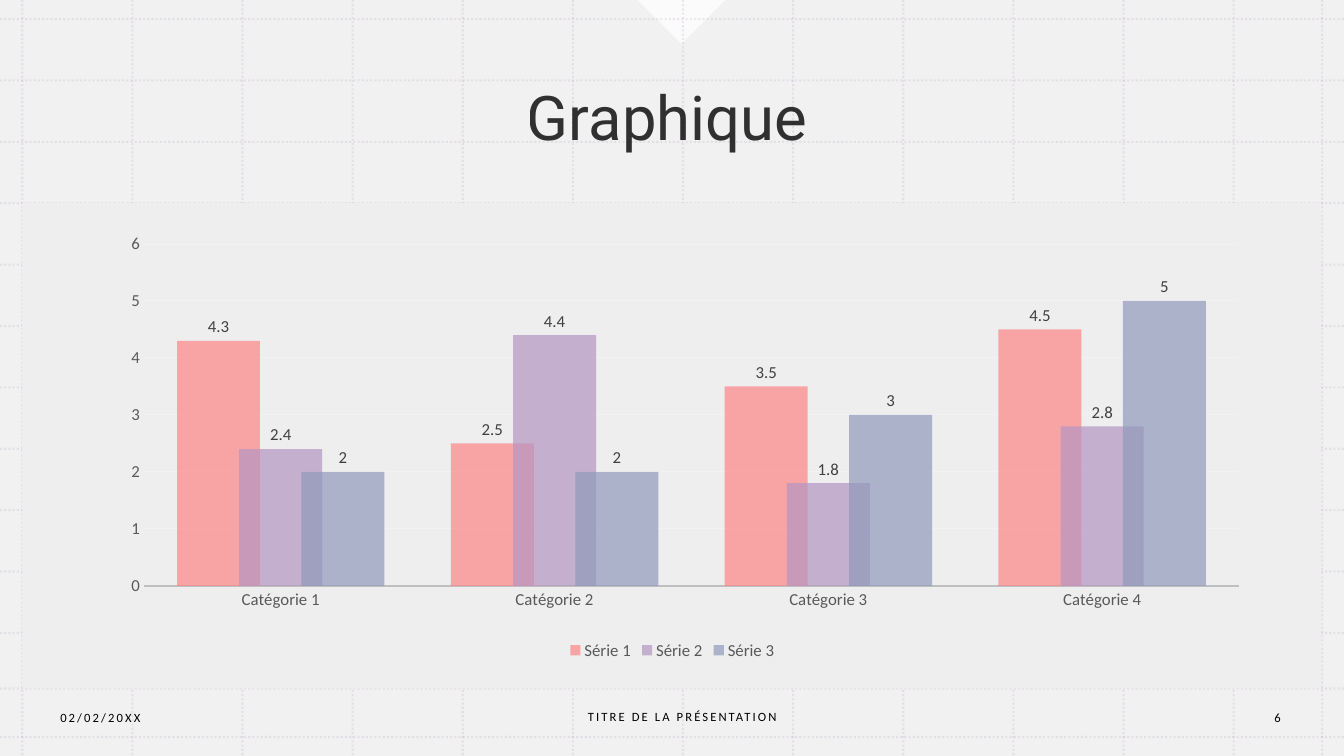
import pptx
import pptx.chart.data
import pptx.dml.color
import pptx.enum.chart
import pptx.enum.dml
import pptx.enum.shapes
import pptx.enum.text
import pptx.oxml
import pptx.oxml.ns
import pptx.util
from pptx.util import Cm

COLORS = {
    "paper": "EEEEEE", "white": "FFFFFF", "black": "000000", "grid": "B495C2",
    "label": "404040", "axis_text": "595959", "axis": "BFBFBF", "gridline": "F2F2F2",
}
SERIES = [
    ("Série 1", (4.3, 2.5, 3.5, 4.5), "FD8686"),
    ("Série 2", (2.4, 4.4, 1.8, 2.8), "B495C2"),
    ("Série 3", (2, 2, 3, 5), "8F99BB"),
]
CATEGORIES = ["Catégorie 1", "Catégorie 2", "Catégorie 3", "Catégorie 4"]
PLOT = {"x": 0.044, "y": 0.024, "w": 0.945, "h": 0.794}


def rgb(color):
    """Turn a hex string into a colour."""
    return pptx.dml.color.RGBColor.from_string(color)


def paint(target, color, alpha=100):
    """Give a fill, or the fill of a line or font, a solid colour and opacity."""
    target.solid()
    target.fore_color.rgb = rgb(color)
    if alpha < 100:
        clr = target._xPr.find(".//" + pptx.oxml.ns.qn("a:srgbClr"))
        child = pptx.oxml.parse_xml(
            f'<a:alpha {pptx.oxml.ns.nsdecls("a")} val="{alpha * 1000}"/>')
        clr.append(child)


def style_font(font, size, color, name="Calibri"):
    """Set the size, colour and typeface of a font."""
    font.size = pptx.util.Pt(size)
    font.name = name
    font.color.rgb = rgb(color)


def spread(first, last, count):
    """Return evenly spaced positions from first to last."""
    return [first + (last - first) * i / (count - 1) for i in range(count)]


def add_block(s, kind, box, color, alpha=100):
    """Add a borderless filled shape."""
    sp = s.shapes.add_shape(kind, *map(Cm, box))
    sp.shadow.inherit = False
    paint(sp.fill, color, alpha)
    sp.line.fill.background()
    return sp


def add_grid_line(s, x1, y1, x2, y2):
    """Add one faint dotted line."""
    line = s.shapes.add_connector(
        pptx.enum.shapes.MSO_CONNECTOR.STRAIGHT, Cm(x1), Cm(y1), Cm(x2), Cm(y2))
    line.line.width = pptx.util.Pt(1.5)
    paint(line.line.fill, COLORS["grid"], 20)
    line.line.dash_style = pptx.enum.dml.MSO_LINE.ROUND_DOT
    line._element.spPr.append(pptx.oxml.parse_xml(
        f'<a:effectLst {pptx.oxml.ns.nsdecls("a")}/>'))


def add_background(s, box):
    """Draw the paper, top notch, dotted grid and chart panel."""
    x, y, w, h = box
    shapes = pptx.enum.shapes.MSO_SHAPE
    add_block(s, shapes.RECTANGLE, box, COLORS["paper"], 80)
    notch = add_block(s, shapes.RIGHT_TRIANGLE,
                      (x + 16.39, y - 0.79, 1.57, 1.57), COLORS["white"], 75)
    notch.rotation = 315
    for gx in spread(0.56, 31.09, 12) + [33.32]:
        add_grid_line(s, x + gx, y, x + gx, y + h)
    for gy in spread(0.48, 15.95, 11) + [17.35, 18.57]:
        add_grid_line(s, x, y + gy, x + w, y + gy)
    add_block(s, shapes.RECTANGLE, (x + 0.56, y + 5.11, 32.74, 12.24), COLORS["paper"])


def add_title(s, box, text):
    """Place the title placeholder above the background."""
    sp = s.shapes.title
    sp.left, sp.top, sp.width, sp.height = map(Cm, box)
    sp.element.getparent().append(sp.element)
    tf = sp.text_frame
    tf.vertical_anchor = pptx.enum.text.MSO_ANCHOR.MIDDLE
    p = tf.paragraphs[0]
    p.alignment = pptx.enum.text.PP_ALIGN.CENTER
    p.line_spacing = 0.9
    r = p.add_run()
    r.text = text
    style_font(r.font, 44, COLORS["black"], "Roboto")
    paint(r.font.fill, COLORS["black"], 80)


def style_axes(chart):
    """Format the category and value axes."""
    for axis in (chart.category_axis, chart.value_axis):
        axis.major_tick_mark = pptx.enum.chart.XL_TICK_MARK.NONE
        axis.minor_tick_mark = pptx.enum.chart.XL_TICK_MARK.NONE
        style_font(axis.tick_labels.font, 12, COLORS["axis_text"])
    base = chart.category_axis.format.line
    base.width = pptx.util.Pt(1.25)
    base.color.rgb = rgb(COLORS["axis"])
    values = chart.value_axis
    values.minimum_scale, values.maximum_scale, values.major_unit = 0, 6, 1
    values.format.line.fill.background()
    values.has_major_gridlines = True
    gridline = values.major_gridlines.format.line
    gridline.width = pptx.util.Pt(0.75)
    gridline.color.rgb = rgb(COLORS["gridline"])


def set_plot_layout(chart):
    """Fix the inner plot area within the chart."""
    area = chart._chartSpace.chart.plotArea
    for old in area.findall(pptx.oxml.ns.qn("c:layout")):
        area.remove(old)
    modes = "".join(f'<c:{k}Mode val="edge"/>' for k in "xy")
    sizes = "".join(f'<c:{k} val="{v}"/>' for k, v in PLOT.items())
    area.insert(0, pptx.oxml.parse_xml(
        f'<c:layout {pptx.oxml.ns.nsdecls("c")}><c:manualLayout>'
        f'<c:layoutTarget val="inner"/>{modes}{sizes}</c:manualLayout></c:layout>'))


def add_column_chart(s, box):
    """Add the clustered columns with labels and legend."""
    data = pptx.chart.data.CategoryChartData()
    data.categories = CATEGORIES
    for name, values, _ in SERIES:
        data.add_series(name, values)
    chart = s.shapes.add_chart(
        pptx.enum.chart.XL_CHART_TYPE.COLUMN_CLUSTERED, *map(Cm, box), data).chart
    style_font(chart.font, 10, COLORS["black"])
    chart.has_title = False
    chart.has_legend = True
    chart.legend.position = pptx.enum.chart.XL_LEGEND_POSITION.BOTTOM
    chart.legend.include_in_layout = False
    style_font(chart.legend.font, 12, COLORS["axis_text"])
    plot = chart.plots[0]
    plot.gap_width, plot.overlap, plot.vary_by_categories = 80, 25, False
    for series, (_, _, color) in zip(plot.series, SERIES):
        series.format.fill.solid()
        paint(series.format.fill, color, 70)
        labels = series.data_labels
        labels.show_value = True
        labels.position = pptx.enum.chart.XL_LABEL_POSITION.OUTSIDE_END
        style_font(labels.font, 12, COLORS["label"])
    style_axes(chart)
    set_plot_layout(chart)


def add_footer(s, box):
    """Add the date, presentation title and slide number."""
    x, y, _, h = box
    align = pptx.enum.text.PP_ALIGN
    parts = [
        ("02/02/20XX", 0, 0.03, 7.11, align.LEFT),
        ("TITRE DE LA PRÉSENTATION", 10.39, 0, 11.07, align.CENTER),
        ("6", 29.82, 0.03, 2.21, align.CENTER),
    ]
    for text, dx, dy, w, alignment in parts:
        tf = s.shapes.add_textbox(Cm(x + dx), Cm(y + dy), Cm(w), Cm(h)).text_frame
        tf.word_wrap = True
        tf.vertical_anchor = pptx.enum.text.MSO_ANCHOR.MIDDLE
        p = tf.paragraphs[0]
        p.alignment = alignment
        r = p.add_run()
        r.text = text
        style_font(r.font, 9, COLORS["black"])
        r.font._element.set("spc", "150")


def main():
    """Build and save the chart slide."""
    prs = pptx.Presentation()
    prs.slide_width, prs.slide_height = Cm(33.87), Cm(19.05)
    s = prs.slides.add_slide(prs.slide_layouts[5])
    add_background(s, (0, 0, 33.87, 19.05))
    add_title(s, (0.84, 0.94, 31.95, 4.17), "Graphique")
    add_column_chart(s, (2.34, 5.89, 29.21, 10.85))
    add_footer(s, (1.27, 17.55, 32.03, 1.02))
    prs.save("out.pptx")


if __name__ == "__main__":
    main()
